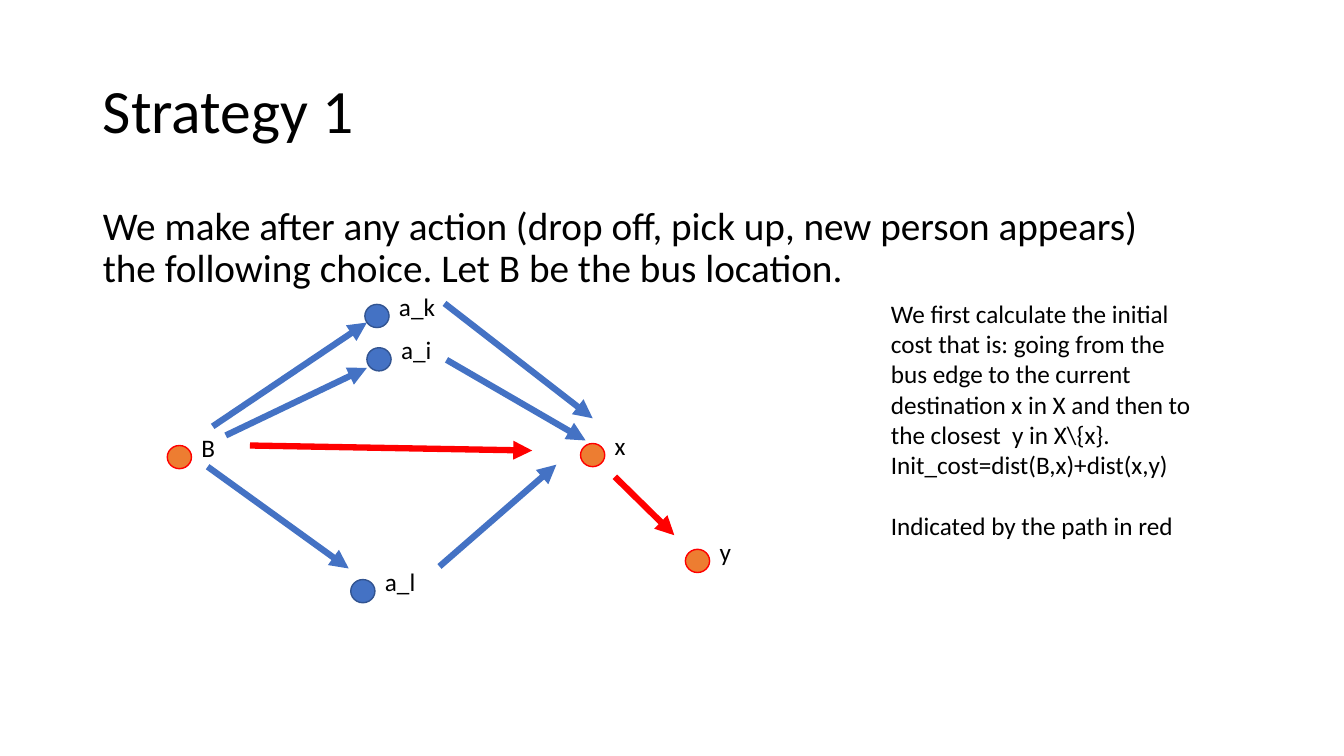
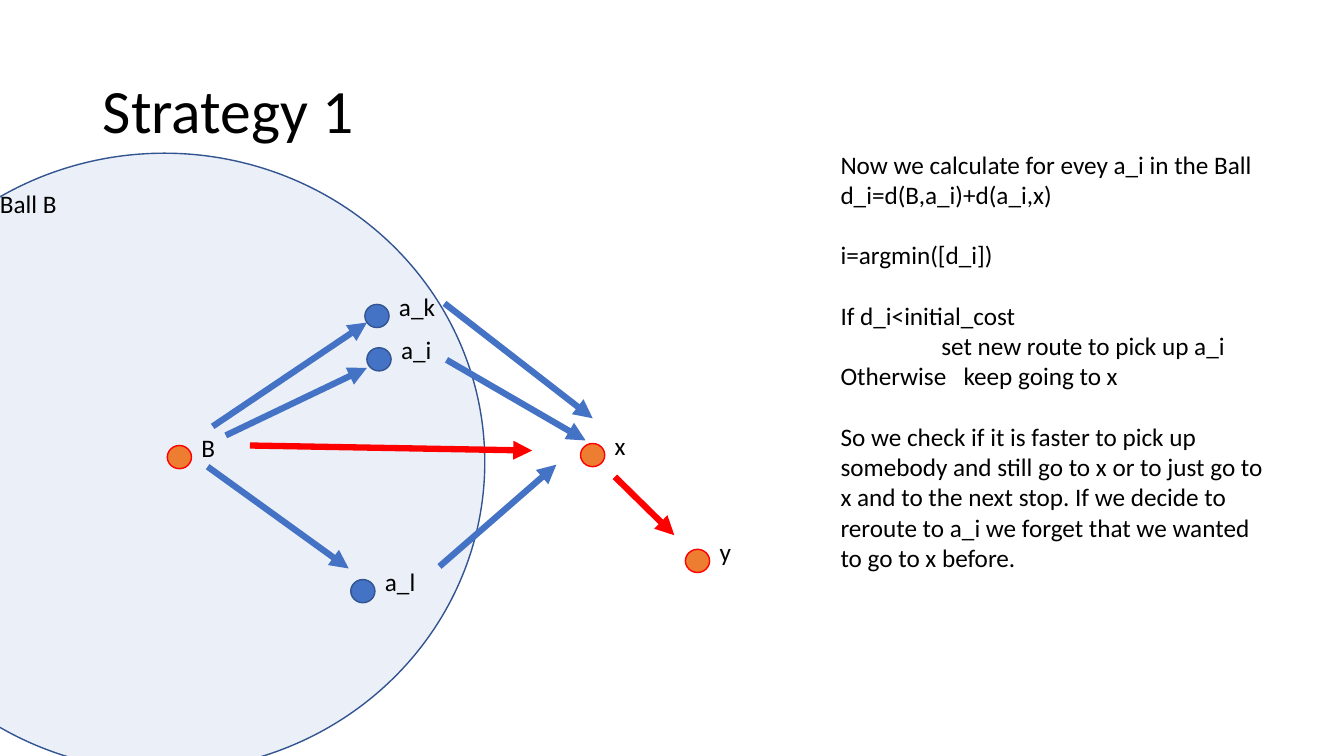
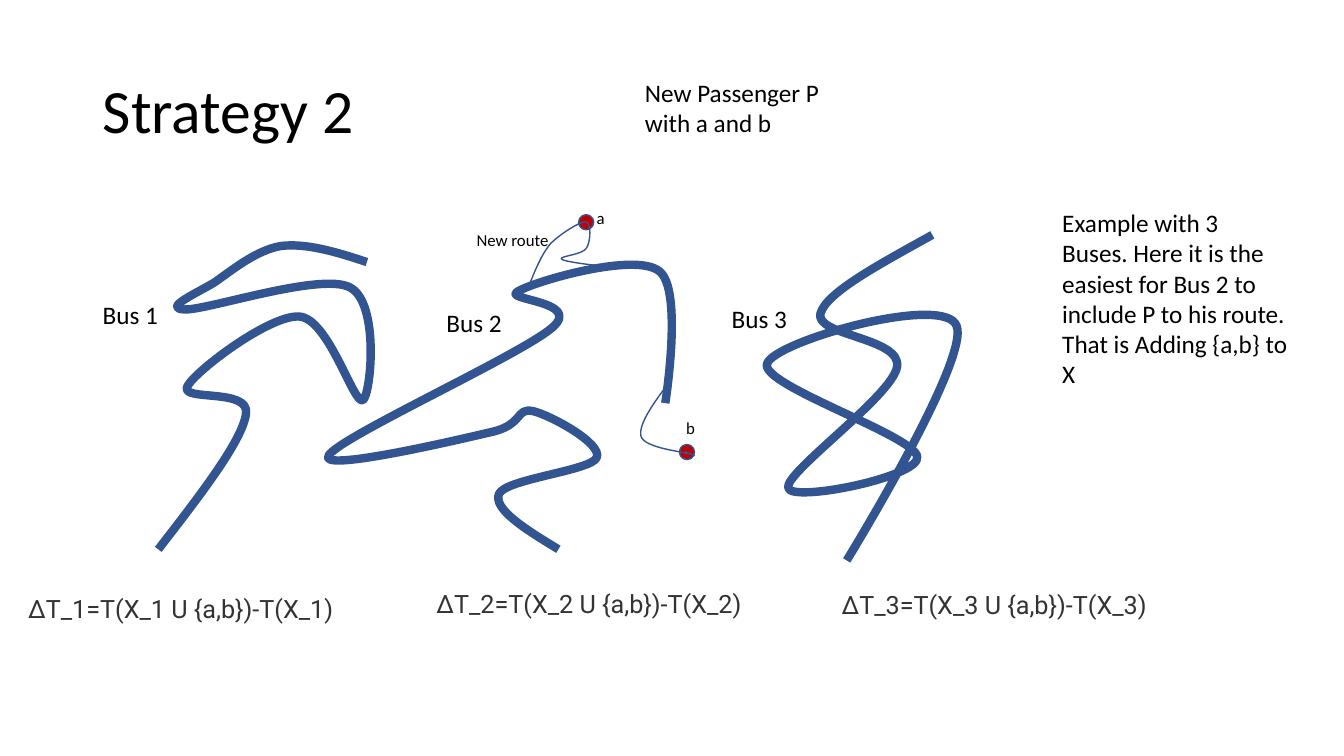
from lxml.etree import SubElement
from pptx import Presentation
from pptx.dml.color import RGBColor
from pptx.enum.shapes import MSO_CONNECTOR, MSO_SHAPE
from pptx.enum.text import MSO_ANCHOR, MSO_AUTO_SIZE, PP_ALIGN
from pptx.oxml.ns import qn
from pptx.util import Pt

PX = 9144  # 100 px to the inch
COLORS = {
    "text": "000000",
    "formula": "333333",
    "blue": "4472C4",
    "navy": "325491",
    "orange": "ED7D31",
    "red": "FF0000",
    "stop": "C00000",
}
RGB = {name: RGBColor.from_string(value) for name, value in COLORS.items()}
FONT = "Calibri"
BLANK_LINE = Pt(21.6)


def add_text(shapes, text, box, size=18, font=FONT, color="text"):
    """Add a wrapping text box at box (left, top, width, height) and return its paragraphs."""
    frame = shapes.add_textbox(*(PX * length for length in box)).text_frame
    frame.word_wrap = True
    frame.auto_size = MSO_AUTO_SIZE.SHAPE_TO_FIT_TEXT
    frame.text = text
    for paragraph in frame.paragraphs:
        for run in paragraph.runs:
            run.font.size, run.font.name = Pt(size), font
            run.font.color.rgb = RGB[color]
    return frame.paragraphs


def add_ellipse(shapes, box, fill, line):
    ellipse = shapes.add_shape(MSO_SHAPE.OVAL, *(PX * length for length in box))
    ellipse.shadow.inherit = False
    ellipse.fill.solid()
    ellipse.fill.fore_color.rgb = RGB[fill]
    ellipse.line.color.rgb = RGB[line]
    ellipse.line.width = Pt(1)
    return ellipse


prs = Presentation()
prs.slide_width, prs.slide_height = 4000 * PX // 3, 750 * PX
TITLE_AND_BODY, TITLE_ONLY = prs.slide_layouts[1], prs.slide_layouts[5]

# Titles
slides = []
for heading, layout in [
    ("Strategy 1", TITLE_AND_BODY),
    ("Strategy 1", TITLE_ONLY),
    ("Strategy 2", TITLE_ONLY),
]:
    slide = prs.slides.add_slide(layout)
    title = slide.shapes.title
    title.left, title.top, title.width, title.height = 92 * PX, 40 * PX, 1150 * PX, 145 * PX
    title.text_frame.text = heading
    title.text_frame.vertical_anchor = MSO_ANCHOR.MIDDLE
    paragraph = title.text_frame.paragraphs[0]
    paragraph.alignment = PP_ALIGN.LEFT
    paragraph.line_spacing = 0.9
    font = paragraph.runs[0].font
    font.size, font.name, font.color.rgb = Pt(44), FONT, RGB["text"]
    slides.append(slide)
choice_slide, ball_slide, buses_slide = slides

# Slide 1: introduction
intro = choice_slide.placeholders[1]
intro.left, intro.top, intro.width, intro.height = 92 * PX, 200 * PX, 1096 * PX, 111 * PX
intro.text_frame.text = (
    "We make after any action (drop off, pick up, new person appears) "
    "the following choice. Let B be the bus location."
)
paragraph = intro.text_frame.paragraphs[0]
paragraph.line_spacing, paragraph.space_before = 0.9, Pt(10)
font = paragraph.runs[0].font
font.size, font.name, font.color.rgb = Pt(28), FONT, RGB["text"]
properties = paragraph._p.get_or_add_pPr()
properties.set("marL", "0")
properties.set("indent", "0")
SubElement(properties, qn("a:buNone"))

# Slide 2: ball around the bus, behind the title
ball = add_ellipse(ball_slide.shapes, (-155, 152, 636, 613), "blue", "navy")
ball_color = ball.fill._xPr.find(qn("a:solidFill"))[0]
SubElement(ball_color, qn("a:alpha")).set("val", "10000")
ball_slide.shapes._spTree.insert(2, ball._element)

# Slides 1 and 2: route diagram
ROUTES = [
    ((248, 442), (528, 447), "red"),
    ((224, 432), (364, 365), "blue"),
    ((443, 357), (581, 437), "blue"),
    ((610, 473), (669, 531), "red"),
    ((211, 423), (364, 320), "blue"),
    ((441, 301), (588, 415), "blue"),
    ((206, 463), (346, 564), "blue"),
    ((436, 562), (552, 461), "blue"),
]
PLACES = [
    ("B", 166, 442, "orange", "red"),
    ("a_k", 362, 302, "blue", "navy"),
    ("a_i", 364, 345, "blue", "navy"),
    ("a_l", 348, 575, "blue", "navy"),
    ("x", 576, 440, "orange", "red"),
    ("y", 680, 545, "orange", "red"),
]
for slide in (choice_slide, ball_slide):
    for start, end, color in ROUTES:
        arrow = slide.shapes.add_connector(
            MSO_CONNECTOR.STRAIGHT, *(PX * value for value in start + end)
        )
        arrow.line.color.rgb = RGB[color]
        arrow.line.width = Pt(4.5)
        SubElement(arrow.line._get_or_add_ln(), qn("a:tailEnd")).set("type", "triangle")
        SubElement(arrow._element.spPr, qn("a:effectLst"))
    for label, left, top, fill, line in PLACES:
        place = slide.shapes.add_group_shape().shapes
        add_ellipse(place, (left, top, 24, 23), fill, line)
        add_text(place, label, (left + 24, top - 18, 71, 40))

# Slides 1 and 2: explanations
cost_note = add_text(
    choice_slide.shapes,
    "We first calculate the initial cost that is: going from the bus edge to the current "
    "destination x in X and then to the closest  y in X\\{x}.\n"
    "Init_cost=dist(B,x)+dist(x,y)\n"
    "Indicated by the path in red",
    (874, 291, 333, 283),
)
cost_note[2].space_before = BLANK_LINE

reroute_note = add_text(
    ball_slide.shapes,
    "Now we calculate for evey a_i in the Ball\n"
    "d_i=d(B,a_i)+d(a_i,x)\n"
    "i=argmin([d_i])\n"
    "If d_i<initial_cost\n"
    "\tset new route to pick up a_i\n"
    "Otherwise\tkeep going to x\n"
    "So we check if it is faster to pick up somebody and still go to x or to just go to x "
    "and to the next stop. If we decide to reroute to a_i we forget that we wanted to go "
    "to x before.",
    (824, 143, 442, 464),
)
for index in (2, 3, 6):
    reroute_note[index].space_before = BLANK_LINE
for index, tab_position in [(4, 100), (5, 122)]:
    tab_stops = SubElement(reroute_note[index]._p.get_or_add_pPr(), qn("a:tabLst"))
    SubElement(tab_stops, qn("a:tab"), pos=str(tab_position * PX), algn="l")
add_text(ball_slide.shapes, "Ball B", (-10, 182, 175, 40))

# Slide 3: bus routes as Bézier curves: a start, then two controls and an end per piece
BUS_1 = [
    (157, 545),
    (198, 492), (240, 438), (244, 411),
    (249, 384), (177, 399), (186, 383),
    (195, 367), (268, 312), (297, 314),
    (326, 316), (351, 402), (360, 397),
    (368, 392), (377, 300), (347, 285),
    (318, 270), (205, 308), (183, 307),
    (160, 306), (197, 290), (213, 280),
    (229, 269), (254, 248), (279, 244),
    (304, 241), (334, 250), (364, 260),
]
BUS_2 = [
    (554, 545),
    (521, 525), (489, 505), (495, 490),
    (502, 475), (587, 467), (592, 454),
    (598, 440), (546, 412), (529, 408),
    (511, 404), (520, 422), (486, 429),
    (452, 437), (315, 469), (326, 452),
    (336, 434), (517, 352), (548, 325),
    (579, 298), (496, 298), (514, 289),
    (531, 279), (630, 250), (654, 269),
    (678, 287), (660, 400), (660, 400),
]
BUS_3 = [
    (925, 233),
    (873, 262), (820, 290), (814, 311),
    (808, 333), (895, 335), (890, 364),
    (885, 393), (778, 469), (782, 484),
    (785, 499), (914, 473), (910, 453),
    (907, 432), (754, 382), (761, 361),
    (767, 339), (936, 291), (949, 323),
    (963, 356), (840, 556), (840, 556),
]
DETOUR_A = [
    (525, 283),
    (531, 268), (537, 253), (546, 242),
    (556, 232), (575, 220), (581, 220),
    (587, 221), (586, 240), (582, 246),
    (578, 253), (555, 254), (557, 257),
    (558, 259), (579, 262), (589, 263),
    (599, 264), (609, 263), (618, 263),
]
DETOUR_B = [
    (665, 378),
    (649, 399), (633, 421), (636, 433),
    (640, 445), (679, 448), (686, 451),
    (693, 453), (686, 451), (680, 448),
]
for left, top in [(574, 213), (674, 441)]:
    add_ellipse(buses_slide.shapes, (left, top, 15, 15), "stop", "navy")

for curve, (left, top, width, height), weight in [
    (BUS_1, (157, 244, 211, 302), 6),
    (BUS_2, (325, 263, 342, 283), 6),
    (BUS_3, (760, 233, 190, 322), 6),
    (DETOUR_A, (525, 220, 93, 63), 1),
    (DETOUR_B, (636, 378, 53, 74), 1),
]:
    builder = buses_slide.shapes.build_freeform(*curve[0], scale=PX)
    builder.add_line_segments(curve[3::3], close=False)
    route = builder.convert_to_shape()
    route.left, route.top, route.width, route.height = (
        PX * length for length in (left, top, width, height)
    )
    outline = next(route._element.iter(qn("a:path")))
    outline.set("w", str(width))
    outline.set("h", str(height))
    for segment in list(outline):
        outline.remove(segment)
    for index, (x, y) in enumerate(curve):
        if index == 0:
            segment = SubElement(outline, qn("a:moveTo"))
        elif index % 3 == 1:
            segment = SubElement(outline, qn("a:cubicBezTo"))
        SubElement(segment, qn("a:pt"), x=str(x - left), y=str(y - top))
    route.shadow.inherit = False
    route.fill.background()
    route.line.color.rgb = RGB["navy"]
    route.line.width = Pt(weight)

# Slide 3: labels
for label, box, size in [
    ("New Passenger P with a and b", (630, 72, 223, 71), 18),
    ("Bus 1", (92, 292, 92, 40), 18),
    ("Bus 2", (433, 300, 92, 40), 18),
    ("Bus 3", (716, 296, 92, 40), 18),
    ("New route", (463, 223, 124, 30), 12),
    ("a", (582, 201, 124, 30), 12),
    ("b", (671, 410, 124, 30), 12),
    (
        "Example with 3 Buses. Here it is the easiest for Bus 2 to include P to his route. "
        "That is Adding {a,b} to X",
        (1044, 201, 244, 192),
        18,
    ),
]:
    add_text(buses_slide.shapes, label, box, size)

for bus, (left, top, width) in enumerate(
    [(18, 584, 342), (423, 579, 355), (825, 580, 355)], start=1
):
    formula = f"ΔT_{bus}=T(X_{bus} U {{a,b}})-T(X_{bus})"
    add_text(buses_slide.shapes, formula, (left, top, width, 40), font="Roboto", color="formula")

prs.save("out.pptx")
